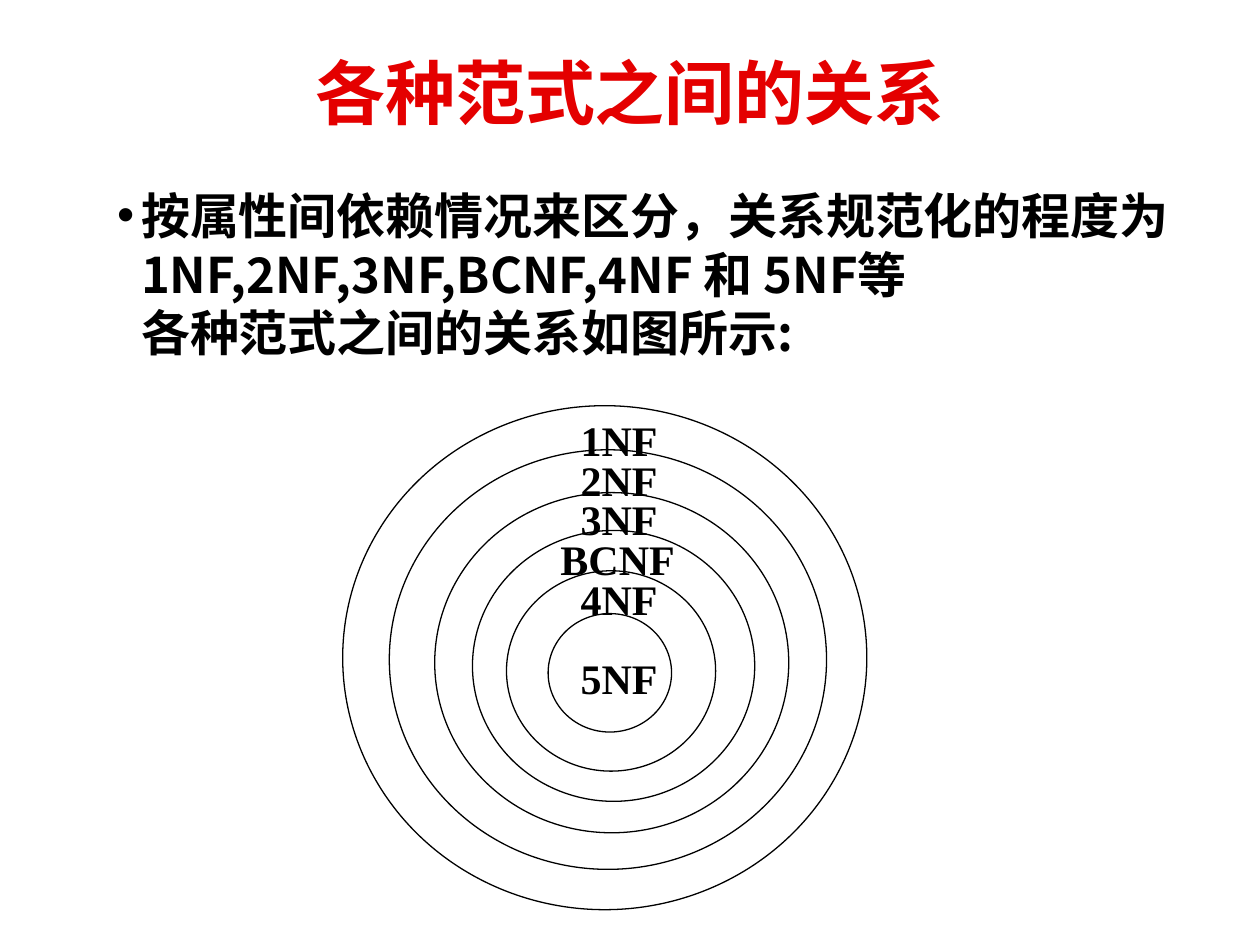
from lxml import etree
from pptx import Presentation
from pptx.dml.color import RGBColor
from pptx.enum import shapes, text
from pptx.oxml.ns import qn
from pptx.util import Inches, Pt

BLACK, RED = "000000", "E40000"
CJK = "Noto Sans CJK SC"

TITLE = "各种范式之间的关系"
BODY = [
    "按属性间依赖情况来区分，关系规范化的程度为1NF,2NF,3NF,BCNF,4NF 和 5NF等",
    "各种范式之间的关系如图所示:",
]
# Innermost ring first: left, top, width, height
RINGS = [
    (4.35, 4.87, 0.98, 0.94),
    (4.02, 4.53, 1.66, 1.59),
    (3.75, 4.21, 2.24, 2.15),
    (3.45, 3.91, 2.81, 2.70),
    (3.09, 3.57, 3.47, 3.33),
    (2.72, 3.22, 4.16, 4.00),
]
# Label, row counted from the top, left, width
LABELS = [
    ("1NF", 0, 4.51, 0.9),
    ("2NF", 1, 4.51, 0.9),
    ("3NF", 2, 4.51, 0.9),
    ("BCNF", 3, 4.35, 1.23),
    ("4NF", 4, 4.51, 0.9),
    ("5NF", 6, 4.51, 0.9),
]
LABEL_TOP, LABEL_STEP, LABEL_HEIGHT = 3.24, 0.315, 0.5


def rgb(color):
    return RGBColor.from_string(color)


def place(sp, *box):
    sp.left, sp.top, sp.width, sp.height = map(Inches, box)


def add_run(p, words, size, font, color, east_asian=None):
    r = p.add_run()
    r.text = words
    r.font.size, r.font.name, r.font.bold = Pt(size), font, True
    r.font.color.rgb = rgb(color)
    if east_asian:
        ea = etree.Element(qn("a:ea"), typeface=east_asian)
        r.font._element.find(qn("a:latin")).addnext(ea)


def add_bullet(p, char, indent):
    pPr = p._p.get_or_add_pPr()
    pPr.set("marL", str(Inches(indent)))
    pPr.set("indent", str(-Inches(indent)))
    color = etree.SubElement(pPr, qn("a:buClr"))
    etree.SubElement(color, qn("a:srgbClr"), val=BLACK)
    etree.SubElement(pPr, qn("a:buFont"), typeface="Arial")
    etree.SubElement(pPr, qn("a:buChar"), char=char)


prs = Presentation()
prs.slide_width, prs.slide_height = Inches(10), Inches(7.5)
s = prs.slides.add_slide(prs.slide_layouts[1])
title, body = s.placeholders

place(title, 0.75, 0.21, 8.5, 1.04)
tf = title.text_frame
tf.auto_size = text.MSO_AUTO_SIZE.NONE
tf.vertical_anchor = text.MSO_ANCHOR.MIDDLE
p = tf.paragraphs[0]
p.alignment = text.PP_ALIGN.CENTER
add_run(p, TITLE, 40, "Arial", RED, CJK)

place(body, 0.83, 1.42, 8.58, 1.5)
tf = body.text_frame
tf.auto_size = text.MSO_AUTO_SIZE.NONE
tf.vertical_anchor = text.MSO_ANCHOR.TOP
p = tf.paragraphs[0]
add_bullet(p, "•", 0.19)
p.space_before = Pt(0)
for i, line in enumerate(BODY):
    if i:
        p.add_line_break()
    add_run(p, line, 28, CJK, BLACK, CJK)

diagram = s.shapes.add_group_shape().shapes
for ring in RINGS:
    sp = diagram.add_shape(shapes.MSO_SHAPE.OVAL, *map(Inches, ring))
    sp.shadow.inherit = False
    sp.fill.background()
    sp.line.color.rgb = rgb(BLACK)
    sp.line.width = Pt(0.75)

for label, row, left, width in LABELS:
    top = LABEL_TOP + row * LABEL_STEP
    sp = diagram.add_textbox(*map(Inches, (left, top, width, LABEL_HEIGHT)))
    tf = sp.text_frame
    tf.word_wrap = True
    add_run(tf.paragraphs[0], label, 24, "Times New Roman", BLACK)

prs.save("out.pptx")
